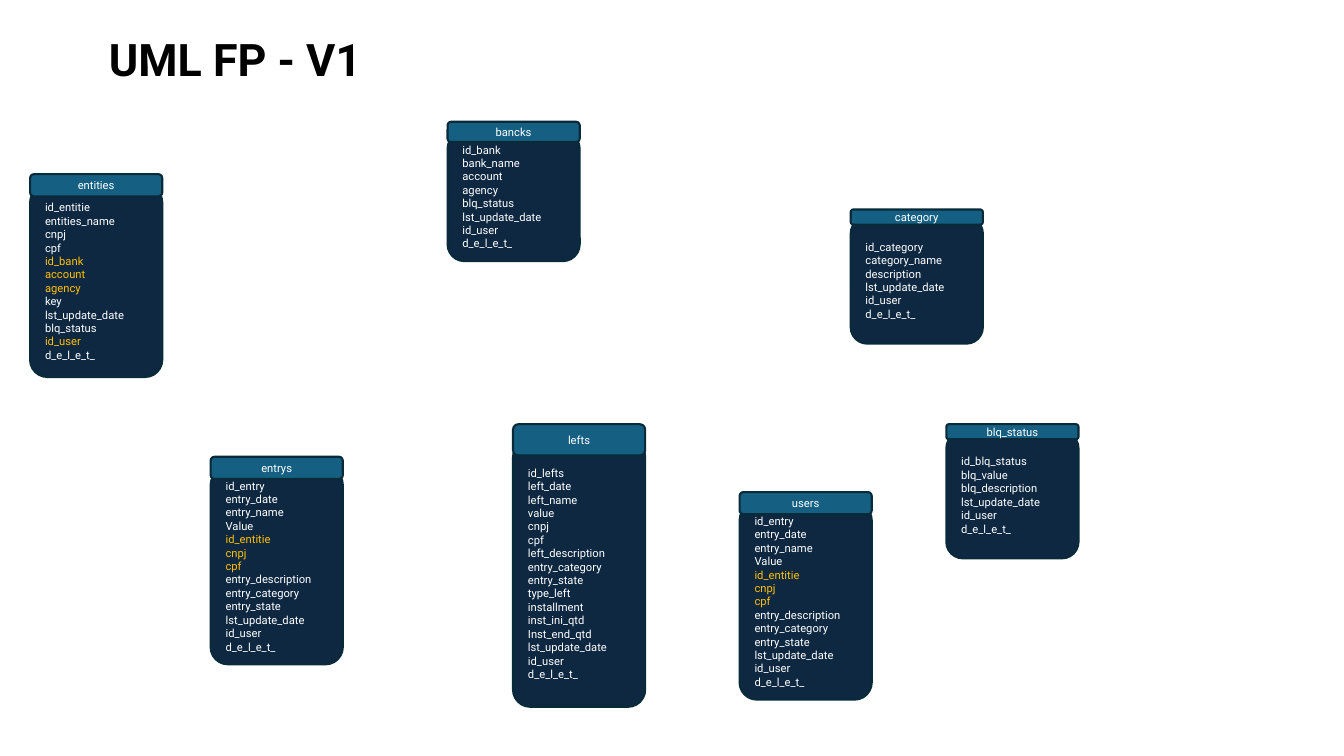
from collections import namedtuple

from pptx import Presentation
from pptx.dml.color import RGBColor
from pptx.enum.shapes import MSO_SHAPE as Shape
from pptx.enum.text import MSO_ANCHOR as Anchor, MSO_AUTO_SIZE as AutoSize, PP_ALIGN as Align
from pptx.util import Cm, Pt

Entity = namedtuple("Entity", "name left top height header_height fields highlighted")

FONT = "Roboto"
WHITE, BLACK, AMBER = "FFFFFF", "000000", "FFC000"
HEADER_FILL, BODY_FILL, OUTLINE = "156082", "0E2841", "092A39"
ENTITY_WIDTH = 3.33
HEADER_ROUNDING, BODY_ROUNDING = 0.17, 0.13

ENTRY_FIELDS = (
    "id_entry entry_date entry_name Value id_entitie cnpj cpf entry_description "
    "entry_category entry_state lst_update_date id_user d_e_l_e_t_"
)
ENTRY_KEYS = "id_entitie cnpj cpf"

ENTITIES = [
    Entity("bancks", 11.28, 3.07, 3.51, 0.51,
           "id_bank bank_name account agency blq_status lst_update_date id_user d_e_l_e_t_", ""),
    Entity("entrys", 5.31, 11.51, 5.23, 0.56, ENTRY_FIELDS, ENTRY_KEYS),
    Entity("lefts", 12.93, 10.69, 7.12, 0.79,
           "id_lefts left_date left_name value cnpj cpf left_description entry_category "
           "entry_state type_left installment inst_ini_qtd Inst_end_qtd lst_update_date "
           "id_user d_e_l_e_t_", ""),
    Entity("entities", 0.76, 4.39, 5.11, 0.56,
           "id_entitie entities_name cnpj cpf id_bank account agency key lst_update_date "
           "blq_status id_user d_e_l_e_t_", "id_bank account agency id_user"),
    Entity("category", 21.44, 5.28, 3.38, 0.38,
           "id_category category_name description lst_update_date id_user d_e_l_e_t_", ""),
    Entity("blq_status", 23.85, 10.69, 3.38, 0.38,
           "id_blq_status blq_value blq_description lst_update_date id_user d_e_l_e_t_", ""),
    Entity("users", 18.64, 12.4, 5.23, 0.56, ENTRY_FIELDS, ENTRY_KEYS),
]


def color(hex_value):
    """Return the colour for a hex string."""
    return RGBColor.from_string(hex_value)


def apply_format(target, values):
    """Set each attribute in the dict of values on the target."""
    for name, value in values.items():
        setattr(target, name, value)


def write_lines(text_frame, lines, align, size, bold=False):
    """Write one paragraph for each (text, colour) pair."""
    for index, (text, text_color) in enumerate(lines):
        paragraph = text_frame.add_paragraph() if index else text_frame.paragraphs[0]
        paragraph.alignment = align
        run = paragraph.add_run()
        run.text = text
        apply_format(run.font, {"name": FONT, "size": Pt(size), "bold": bold})
        run.font.color.rgb = color(text_color)


def add_panel(shapes, box, fill, rounding, lines, align):
    """Add a rounded panel with text in the box, given in centimetres."""
    shape = shapes.add_shape(Shape.ROUNDED_RECTANGLE, *map(Cm, box))
    shape.shadow.inherit = False
    shape.adjustments[0] = rounding
    shape.fill.solid()
    shape.fill.fore_color.rgb = color(fill)
    shape.line.color.rgb = color(OUTLINE)
    shape.line.width = Pt(1.5)
    apply_format(shape.text_frame, {"word_wrap": True, "vertical_anchor": Anchor.MIDDLE})
    write_lines(shape.text_frame, lines, align, 8)


def add_entity(slide, entity):
    """Add a grouped entity whose body starts halfway down its header."""
    shapes = slide.shapes.add_group_shape().shapes
    overlap = entity.header_height / 2
    body = (entity.left, entity.top + overlap, ENTITY_WIDTH, entity.height - overlap)
    header = (entity.left, entity.top, ENTITY_WIDTH, entity.header_height)
    keys = entity.highlighted.split()
    fields = [(field, AMBER if field in keys else WHITE) for field in entity.fields.split()]
    add_panel(shapes, body, BODY_FILL, BODY_ROUNDING, fields, Align.LEFT)
    add_panel(shapes, header, HEADER_FILL, HEADER_ROUNDING, [(entity.name, WHITE)], Align.CENTER)


def set_title(slide, text, box):
    """Place and format the title in the box, given in centimetres."""
    title = slide.shapes.title
    apply_format(title, dict(zip(("left", "top", "width", "height"), map(Cm, box))))
    apply_format(title.text_frame, {
        "word_wrap": True, "auto_size": AutoSize.NONE, "vertical_anchor": Anchor.TOP,
    })
    write_lines(title.text_frame, [(text, BLACK)], Align.LEFT, 32, bold=True)


def main():
    """Build and save the presentation."""
    presentation = Presentation()
    apply_format(presentation, {"slide_width": Cm(33.87), "slide_height": Cm(19.05)})
    slide = presentation.slides.add_slide(presentation.slide_layouts[5])
    set_title(slide, "UML FP - V1", (2.49, 0.66, 23.04, 1.63))
    for entity in ENTITIES:
        add_entity(slide, entity)
    presentation.save("out.pptx")


if __name__ == "__main__":
    main()
